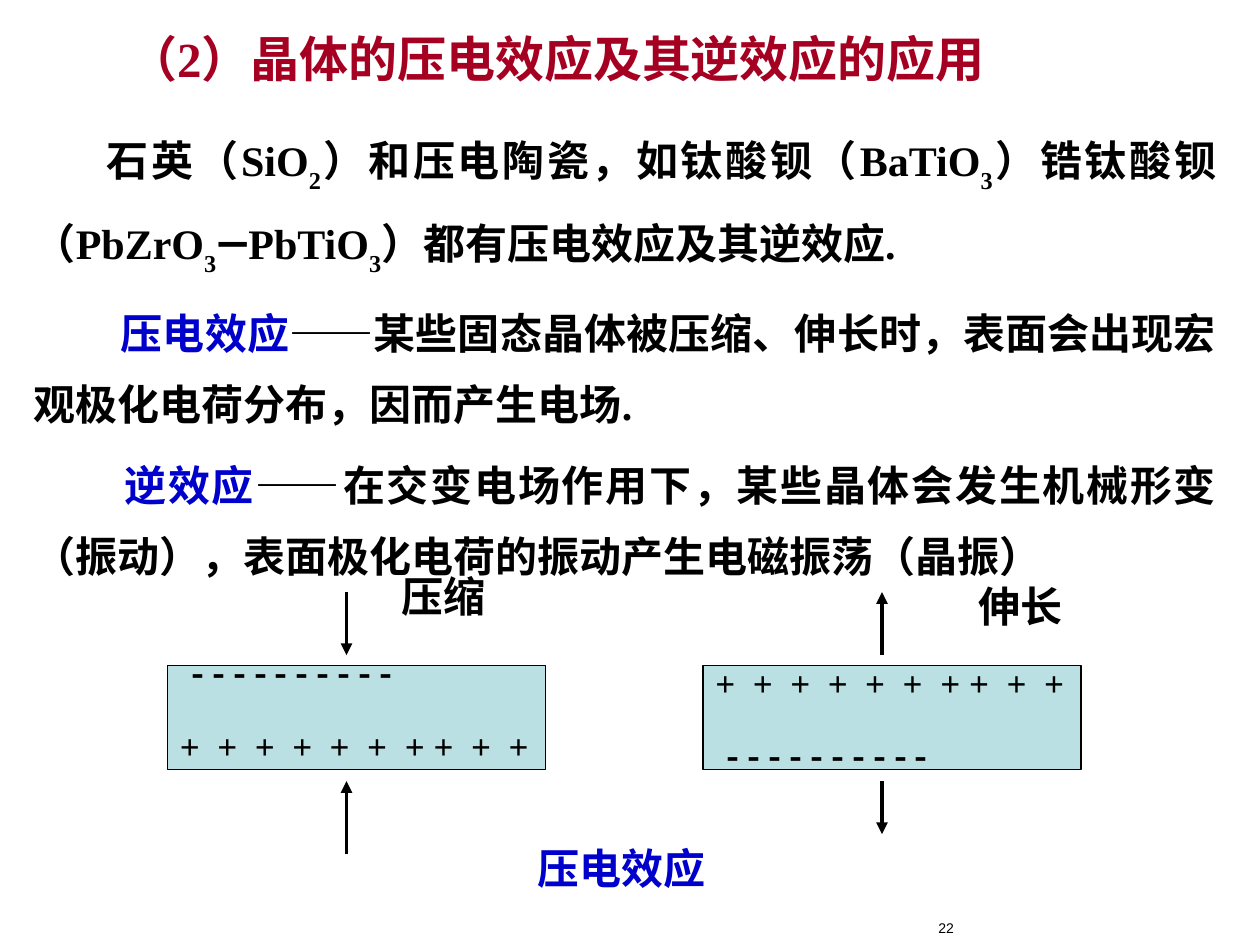
from dataclasses import dataclass

from lxml import etree
from pptx import Presentation
from pptx import util as u
from pptx.dml.color import RGBColor
from pptx.enum import shapes, text
from pptx.oxml.ns import qn


@dataclass(frozen=True)
class Theme:
    ink: RGBColor = RGBColor(0x00, 0x00, 0x00)
    title: RGBColor = RGBColor(0xA5, 0x00, 0x21)
    term: RGBColor = RGBColor(0x00, 0x00, 0xCC)
    crystal: RGBColor = RGBColor(0xBB, 0xE0, 0xE3)
    serif: str = "Times New Roman"
    sans: str = "Arial"
    dash: str = "Roboto"
    cjk: str = "Noto Sans CJK SC"
    title_size: int = 28
    body_size: int = 24
    charge_size: int = 20
    number_size: int = 8


THEME = Theme()


@dataclass(frozen=True)
class Run:
    text: str
    color: RGBColor = THEME.ink
    font: str = THEME.serif
    east_asian: str = THEME.cjk
    subscript: bool = False
    spacing: float = 0


@dataclass(frozen=True)
class Label:
    left: float
    top: float
    width: float
    height: float
    runs: tuple[Run, ...]
    size: int = THEME.body_size
    bold: bool = True
    wrap: bool = False
    align: text.PP_ALIGN = text.PP_ALIGN.LEFT
    anchor: text.MSO_ANCHOR = text.MSO_ANCHOR.TOP


@dataclass(frozen=True)
class BodyParagraph:
    indent: float
    runs: tuple[Run, ...]


@dataclass(frozen=True)
class Arrow:
    x: float
    start: float
    end: float


def add_runs(paragraph, runs: tuple[Run, ...], size: int, bold: bool = True) -> None:
    paragraph.font.size = u.Pt(size)
    paragraph.font.bold = bold
    for item in runs:
        run = paragraph.add_run()
        run.text = item.text
        run.font.size = u.Pt(size)
        run.font.bold = bold
        run.font.name = item.font
        run.font.color.rgb = item.color
        properties = run.font._element
        etree.SubElement(properties, qn("a:ea")).set("typeface", item.east_asian)
        if item.subscript:
            properties.set("baseline", "-30000")
        if item.spacing:
            properties.set("spc", str(round(item.spacing * 100)))


def add_frame(slide, left: float, top: float, width: float, height: float, wrap: bool):
    """Add a text box; one that does not wrap grows with its text."""
    box = slide.shapes.add_textbox(
        u.Inches(left), u.Inches(top), u.Inches(width), u.Inches(height))
    frame = box.text_frame
    frame.word_wrap = wrap
    if not wrap:
        frame.auto_size = text.MSO_AUTO_SIZE.SHAPE_TO_FIT_TEXT
    return frame


def add_label(slide, label: Label) -> None:
    frame = add_frame(slide, label.left, label.top, label.width, label.height, label.wrap)
    frame.vertical_anchor = label.anchor
    paragraph = frame.paragraphs[0]
    paragraph.alignment = label.align
    add_runs(paragraph, label.runs, label.size, label.bold)


def add_body(slide, paragraphs: tuple[BodyParagraph, ...]) -> None:
    frame = add_frame(slide, 0.17, 0.83, 9.58, 5.33, wrap=True)
    for index, item in enumerate(paragraphs):
        paragraph = frame.add_paragraph() if index else frame.paragraphs[0]
        paragraph.alignment = text.PP_ALIGN.JUSTIFY
        paragraph.line_spacing = 1.4
        if index:
            paragraph.space_before = u.Pt(6)
        paragraph._p.get_or_add_pPr().set("indent", str(u.Inches(item.indent)))
        add_runs(paragraph, item.runs, THEME.body_size)


def add_crystal(slide, left: float) -> None:
    crystal = slide.shapes.add_shape(
        shapes.MSO_SHAPE.RECTANGLE,
        u.Inches(left), u.Inches(5.28), u.Inches(3), u.Inches(0.83))
    crystal.shadow.inherit = False
    crystal.fill.solid()
    crystal.fill.fore_color.rgb = THEME.crystal
    crystal.line.color.rgb = THEME.ink
    crystal.line.width = u.Pt(0.75)


def add_arrow(slide, arrow: Arrow) -> None:
    connector = slide.shapes.add_connector(
        shapes.MSO_CONNECTOR.STRAIGHT,
        u.Inches(arrow.x), u.Inches(arrow.start), u.Inches(arrow.x), u.Inches(arrow.end))
    connector.line.color.rgb = THEME.ink
    connector.line.width = u.Pt(2.25)
    head = etree.SubElement(connector.line._get_or_add_ln(), qn("a:tailEnd"))
    head.set("type", "triangle")
    etree.SubElement(connector._element.spPr, qn("a:effectLst"))


def subscript(digit: str) -> Run:
    return Run(digit, subscript=True)


LONG_DASH = Run("——", font=THEME.dash)

BODY = (
    BodyParagraph(0.58, (
        Run("石英（SiO"), subscript("2"), Run("）和压电陶瓷，如钛酸钡（BaTiO"), subscript("3"),
        Run("）锆钛酸钡（PbZrO"), subscript("3"),
        Run("—", font=THEME.dash, east_asian=THEME.dash),
        Run("PbTiO"), subscript("3"), Run("）都有压电效应及其逆效应."))),
    BodyParagraph(0.69, (
        Run("压电效应", THEME.term), LONG_DASH,
        Run("某些固态晶体被压缩、伸长时，表面会出现宏观极化电荷分布，因而产生电场."))),
    BodyParagraph(0.72, (
        Run("逆效应", THEME.term), LONG_DASH,
        Run("在交变电场作用下，某些晶体会发生机械形变（振动），表面极化电荷的振动产生电磁振荡（晶振）"))),
)

NEGATIVE = (Run("- - - - - - - - - -", font=THEME.cjk),)
POSITIVE = (Run("+ + + + + + ", spacing=2.5), Run("+ "), Run("+ + +", spacing=2.5))

LABELS = (
    Label(6.75, 7.25, 0.92, 0.25, (Run("22", font=THEME.sans),), THEME.number_size,
          bold=False, wrap=True, align=text.PP_ALIGN.RIGHT),
    Label(0.92, 0.17, 8.58, 0.58, (Run("（2）晶体的压电效应及其逆效应的应用", THEME.title),),
          THEME.title_size, wrap=True, anchor=text.MSO_ANCHOR.MIDDLE),
    Label(3.09, 4.48, 0.88, 0.5, (Run("压缩"),)),
    Label(7.67, 4.56, 0.88, 0.5, (Run("伸长"),)),
    Label(5.67, 5.78, 3, 0.44, NEGATIVE, THEME.charge_size, wrap=True),
    Label(1.42, 5.12, 2.92, 0.44, NEGATIVE, THEME.charge_size, wrap=True),
    Label(1.33, 5.7, 3.18, 0.44, POSITIVE, THEME.charge_size, wrap=True),
    Label(5.58, 5.2, 3.18, 0.44, POSITIVE, THEME.charge_size, wrap=True),
    Label(4.17, 6.64, 1.55, 0.5, (Run("压电效应", THEME.term),)),
)

ARROWS = (
    Arrow(2.75, 4.7, 5.2), Arrow(2.75, 6.78, 6.2),
    Arrow(7, 5.2, 4.7), Arrow(7, 6.2, 6.62),
)


def main() -> None:
    presentation = Presentation()
    presentation.slide_width = u.Inches(10)
    presentation.slide_height = u.Inches(7.5)
    slide = presentation.slides.add_slide(presentation.slide_layouts[6])
    add_body(slide, BODY)
    for left in (1.33, 5.58):
        add_crystal(slide, left)
    for arrow in ARROWS:
        add_arrow(slide, arrow)
    for label in LABELS:
        add_label(slide, label)
    presentation.save("out.pptx")


if __name__ == "__main__":
    main()
